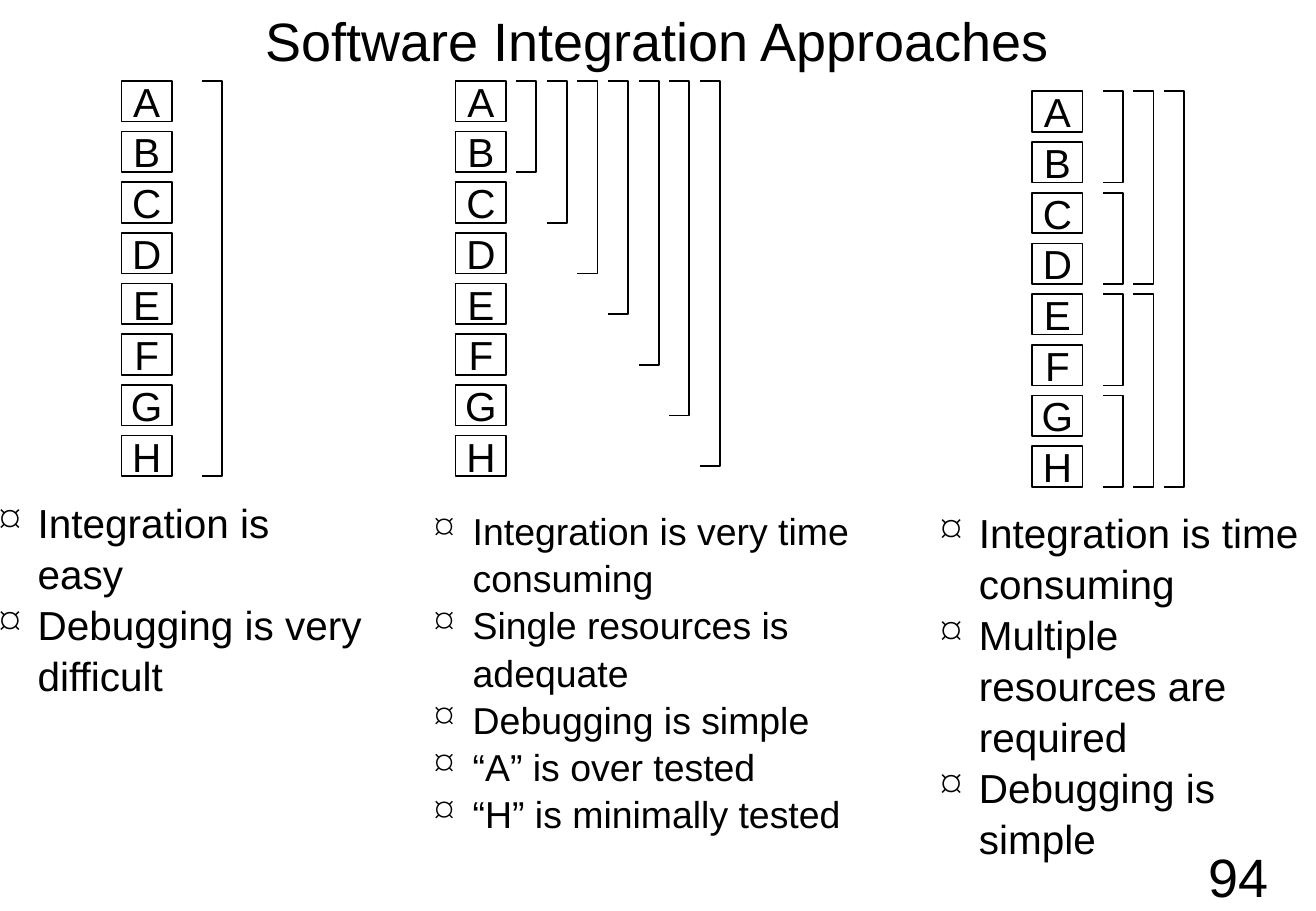
from dataclasses import dataclass

from pptx import Presentation
from pptx.dml.color import RGBColor
from pptx.enum import shapes, text
from pptx.oxml import xmlchemy
from pptx.util import Cm, Pt


@dataclass(frozen=True)
class Theme:
    font: str = "Arial"
    ink: RGBColor = RGBColor(0, 0, 0)
    heading: float = 32
    body: float = 24
    compact: float = 22.2
    line: float = 1


THEME = Theme()
MODULES = "ABCDEFGH"
ROW_PITCH = 1.06
BOX_W, BOX_H = 1.06, 0.85
BRACKET_W, BRACKET_PITCH = 0.42, 0.64
SHORTENED = 0.21
BULLET_INDENT = 0.79


@dataclass(frozen=True)
class Approach:
    """Brackets are (column, first module, last module, shortening), in cm."""
    boxes: tuple
    bracket_gap: float
    brackets: list
    bullet_area: tuple
    bullet_size: float
    bullets: list


APPROACHES = [
    Approach(
        boxes=(2.54, 1.69), bracket_gap=1.69,
        brackets=[(0, "A", "H", 0)],
        bullet_area=(0, 10.37, 7.62, 7.41), bullet_size=THEME.body,
        bullets=["Integration is easy", "Debugging is very difficult"]),
    Approach(
        boxes=(9.53, 1.69), bracket_gap=1.27,
        brackets=[(i, "A", last, SHORTENED if last >= "E" else 0)
                  for i, last in enumerate(MODULES[1:])],
        bullet_area=(9.1, 10.58, 9.1, 7.41), bullet_size=THEME.compact,
        bullets=["Integration is very time consuming",
                 "Single resources is adequate",
                 "Debugging is simple",
                 "“A” is over tested",
                 "“H” is minimally tested"]),
    Approach(
        boxes=(21.59, 1.91), bracket_gap=1.48,
        brackets=[(level, MODULES[start], MODULES[start + span - 1], 0)
                  for level, span in enumerate((2, 4, 8))
                  for start in range(0, len(MODULES), span)],
        bullet_area=(19.69, 10.58, 7.62, 7.41), bullet_size=THEME.body,
        bullets=["Integration is time consuming",
                 "Multiple resources are required",
                 "Debugging is simple"]),
]


def add_run(p, content, size):
    r = p.add_run()
    r.text = content
    r.font.name = THEME.font
    r.font.size = Pt(size)
    r.font.color.rgb = THEME.ink


def set_frame(tf, side, top, wrap):
    tf.margin_left = tf.margin_right = Cm(side)
    tf.margin_top = tf.margin_bottom = Cm(top)
    tf.word_wrap = wrap


def center_text(tf, content, size):
    tf.vertical_anchor = text.MSO_ANCHOR.MIDDLE
    p = tf.paragraphs[0]
    p.alignment = text.PP_ALIGN.CENTER
    add_run(p, content, size)


def add_heading(s, box, content, wrap):
    tf = s.shapes.add_textbox(*map(Cm, box)).text_frame
    set_frame(tf, 0.25, 0.13, wrap)
    center_text(tf, content, THEME.heading)


def outline(sp):
    sp.shadow.inherit = False
    sp.fill.background()
    sp.line.color.rgb = THEME.ink
    sp.line.width = Pt(THEME.line)


def add_module(group, x, y, letter):
    sp = group.shapes.add_shape(shapes.MSO_SHAPE.RECTANGLE,
                                Cm(x), Cm(y), Cm(BOX_W), Cm(BOX_H))
    outline(sp)
    set_frame(sp.text_frame, 0, 0.13, False)
    center_text(sp.text_frame, letter, THEME.body)


def add_bracket(group, x, top, bottom):
    right = x + BRACKET_W
    builder = group.shapes.build_freeform(Cm(x), Cm(top))
    builder.add_line_segments(
        [(Cm(right), Cm(top)), (Cm(right), Cm(bottom)), (Cm(x), Cm(bottom))],
        close=False)
    outline(builder.convert_to_shape())


def add_bullet(p):
    ppr = p._p.get_or_add_pPr()
    ppr.set("marL", str(Cm(BULLET_INDENT)))
    ppr.set("indent", str(-Cm(BULLET_INDENT)))
    bullet = xmlchemy.OxmlElement("a:buChar")
    bullet.set("char", "¤")
    color = xmlchemy.OxmlElement("a:buClr")
    rgb = xmlchemy.OxmlElement("a:srgbClr")
    rgb.set("val", str(THEME.ink))
    color.append(rgb)
    ppr.extend([color, bullet])


def add_bullet_list(group, area, bullets, size):
    tf = group.shapes.add_textbox(*map(Cm, area)).text_frame
    set_frame(tf, 0, 0, True)
    for i, bullet in enumerate(bullets):
        p = tf.add_paragraph() if i else tf.paragraphs[0]
        add_bullet(p)
        p.line_spacing = 1.05
        add_run(p, bullet, size)


def add_approach(s, approach):
    group = s.shapes.add_group_shape()
    left, top = approach.boxes
    row_top = {m: top + i * ROW_PITCH for i, m in enumerate(MODULES)}
    for module, y in row_top.items():
        add_module(group, left, y, module)
    for column, first, last, shortening in approach.brackets:
        x = left + approach.bracket_gap + column * BRACKET_PITCH
        add_bracket(group, x, row_top[first],
                    row_top[last] + BOX_H - shortening)
    add_bullet_list(group, approach.bullet_area, approach.bullets,
                    approach.bullet_size)


def main():
    prs = Presentation()
    prs.slide_width, prs.slide_height = Cm(27.53), Cm(19.05)
    s = prs.slides.add_slide(prs.slide_layouts[6])
    add_heading(s, (24.33, 17.58, 3.18, 1.47), "94", False)
    add_heading(s, (0, 0, 27.51, 1.69), "Software Integration Approaches", True)
    for approach in APPROACHES:
        add_approach(s, approach)
    prs.save("out.pptx")


if __name__ == "__main__":
    main()
